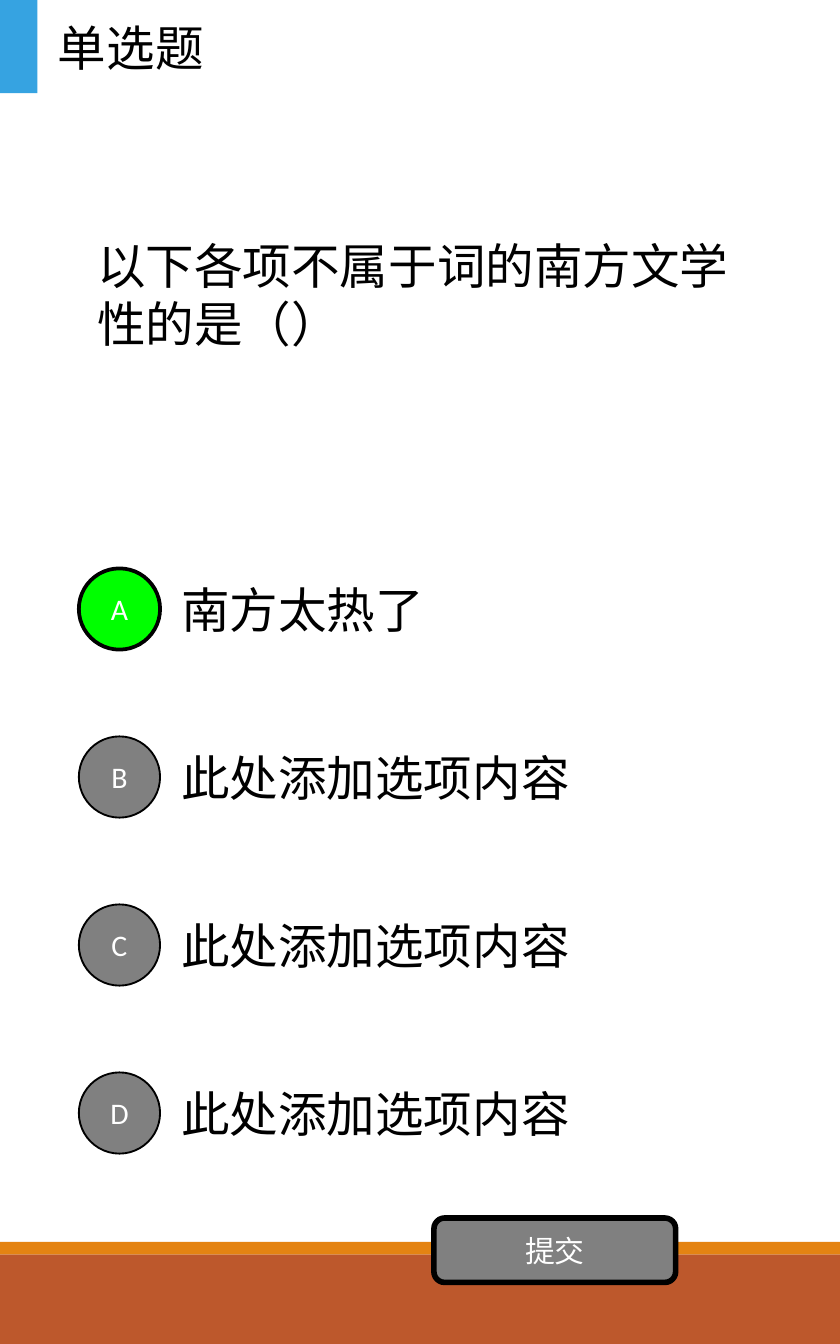
from pptx import Presentation
from pptx.dml.color import RGBColor
from pptx.enum.shapes import MSO_SHAPE as Shape
from pptx.enum.text import MSO_ANCHOR as Anchor, PP_ALIGN as Align
from pptx.util import Pt

# Content
TITLE = "单选题"
QUESTION = "以下各项不属于词的南方文学性的是（）"
OPTIONS = [
    ("A", "南方太热了"),
    ("B", "此处添加选项内容"),
    ("C", "此处添加选项内容"),
    ("D", "此处添加选项内容"),
]
CORRECT = "A"
SUBMIT = "提交"

# Style
FONT = "Calibri"
BLACK = RGBColor(0x00, 0x00, 0x00)
WHITE = RGBColor(0xFF, 0xFF, 0xFF)
GREY = RGBColor(0x80, 0x80, 0x80)
GREEN = RGBColor(0x00, 0xFF, 0x00)
BLUE = RGBColor(0x36, 0xA3, 0xE1)
ORANGE = RGBColor(0xE4, 0x83, 0x12)
RUST = RGBColor(0xBD, 0x58, 0x2C)

# Layout in points
WIDTH, HEIGHT = 450, 720
HEADER_HEIGHT = 50
FOOTER_TOP, STRIPE_HEIGHT = 672, 6.75
OPTION_TOP, OPTION_STEP, OPTION_HEIGHT = 292.5, 90, 67.5
CIRCLE = 43.5

deck = Presentation()
deck.slide_width, deck.slide_height = Pt(WIDTH), Pt(HEIGHT)
page = deck.slides.add_slide(deck.slide_layouts[6])


def write(box, text, size=26, color=BLACK, align=Align.LEFT):
    frame = box.text_frame
    frame.word_wrap = True
    frame.vertical_anchor = Anchor.MIDDLE
    para = frame.paragraphs[0]
    para.alignment = align
    span = para.add_run()
    span.text = text
    span.font.name = FONT
    span.font.size = Pt(size)
    span.font.color.rgb = color


def add_text(text, *place):
    write(page.shapes.add_textbox(*map(Pt, place)), text)


def add_shape(kind, fill, *place, outline=0, label=None):
    shape = page.shapes.add_shape(kind, *map(Pt, place))
    shape.shadow.inherit = False
    shape.fill.solid()
    shape.fill.fore_color.rgb = fill
    if outline:
        shape.line.color.rgb = BLACK
        shape.line.width = Pt(outline)
    else:
        shape.line.fill.background()
    if label:
        write(shape, label, size=16, color=WHITE, align=Align.CENTER)


# Footer bands
add_shape(Shape.RECTANGLE, RUST, 0, FOOTER_TOP, WIDTH, HEIGHT - FOOTER_TOP)
add_shape(Shape.RECTANGLE, ORANGE, 0, FOOTER_TOP - STRIPE_HEIGHT, WIDTH, STRIPE_HEIGHT)

# Question
add_text(QUESTION, 45, 45, 360, 225)

# Answer options, each with a lettered circle centred on its text
for index, (letter, answer) in enumerate(OPTIONS):
    top = OPTION_TOP + index * OPTION_STEP
    correct = letter == CORRECT
    add_text(answer, 90, top, 315, OPTION_HEIGHT)
    add_shape(Shape.OVAL, GREEN if correct else GREY,
              42.25, top + (OPTION_HEIGHT - CIRCLE) / 2, CIRCLE, CIRCLE,
              outline=2 if correct else 1, label=letter)

# Submit button
add_shape(Shape.ROUNDED_RECTANGLE, GREY, 232.5, 652.5, 129.5, 34.5,
          outline=3, label=SUBMIT)

# Header
add_shape(Shape.RECTANGLE, BLUE, 0, 0, 20, HEADER_HEIGHT)
add_text(TITLE, 24, 0, 100, HEADER_HEIGHT)

deck.save("out.pptx")
